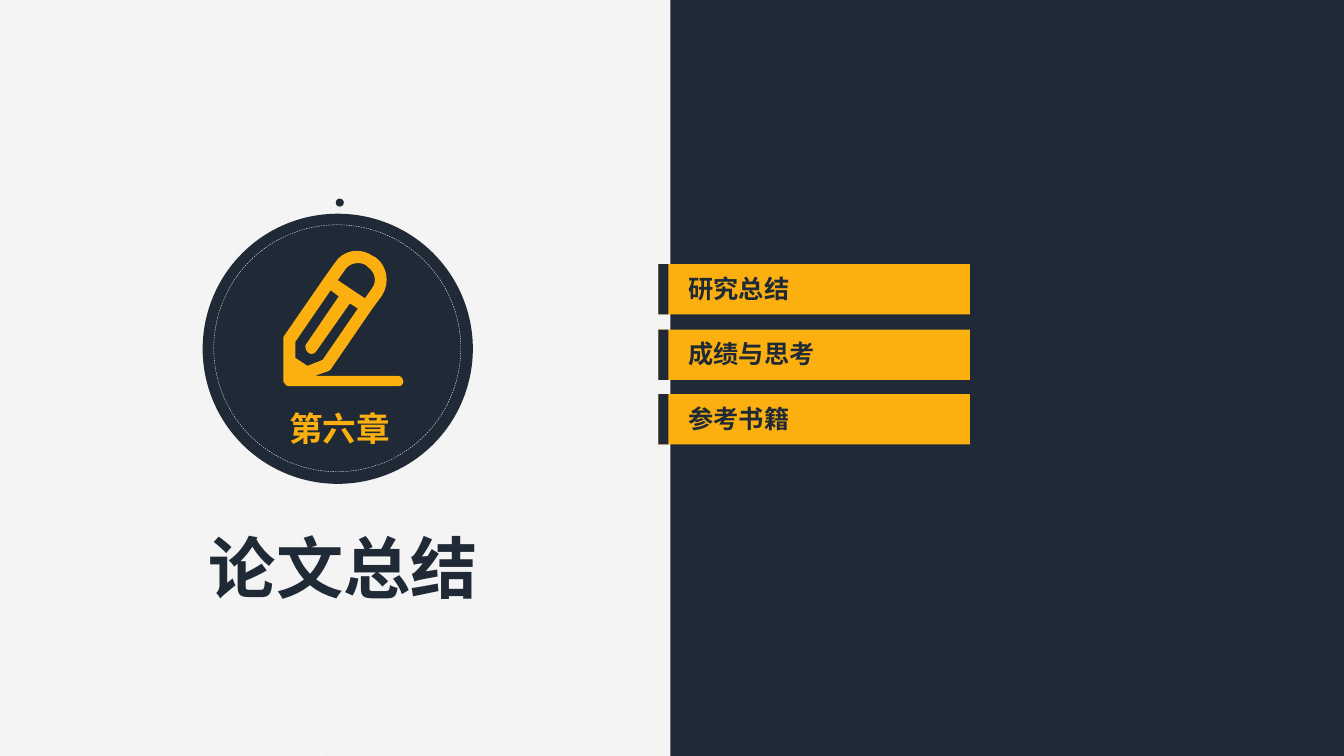
from lxml import etree
from pptx import Presentation
from pptx import util as u
from pptx.dml.color import RGBColor
from pptx.enum import dml, shapes, text
from pptx.oxml.ns import qn

PX = 9144
FINE = 10
CURVE_STEPS = 8
FONT = "Noto Sans CJK SC"
NAVY, GOLD, WHITE, PALE = "202A36", "FCB00F", "FFFFFF", "F2F2F2"
RECTANGLE, OVAL = shapes.MSO_SHAPE.RECTANGLE, shapes.MSO_SHAPE.OVAL

presentation = Presentation()
presentation.slide_width = 1333 * PX
presentation.slide_height = 750 * PX
slide = presentation.slides.add_slide(presentation.slide_layouts[6])


def paint(fill, color):
    fill.solid()
    fill.fore_color.rgb = RGBColor.from_string(color)


def add_text(words, box, size, color, align=text.PP_ALIGN.LEFT,
             anchor=text.MSO_ANCHOR.TOP, wrap=False):
    shape = slide.shapes.add_textbox(*[value * PX for value in box])
    frame = shape.text_frame
    frame.word_wrap = wrap
    frame.vertical_anchor = anchor
    if not wrap:
        frame.auto_size = text.MSO_AUTO_SIZE.SHAPE_TO_FIT_TEXT
    paragraph = frame.paragraphs[0]
    paragraph.alignment = align
    run = paragraph.add_run()
    run.text = words
    run.font.size = u.Pt(size)
    run.font.bold = True
    paint(run.font.fill, color)
    run.font.name = FONT
    etree.SubElement(run.font._element, qn("a:ea"), typeface=FONT)


background = slide.background.fill
background.patterned()
background.pattern = dml.MSO_PATTERN.LIGHT_UPWARD_DIAGONAL
background.fore_color.rgb = RGBColor.from_string(WHITE)
background.back_color.rgb = RGBColor.from_string(PALE)

topics = [("研究总结", 262), ("成绩与思考", 327), ("参考书籍", 391)]
blocks = [(RECTANGLE, (665, 0, 669, 750), NAVY)]
for topic, top in topics:
    blocks.append((RECTANGLE, (653, top, 309, 50), GOLD))
    blocks.append((RECTANGLE, (653, top, 10, 50), NAVY))
blocks += [
    (OVAL, (201, 212, 268, 268), NAVY),
    (OVAL, (333, 197, 8, 8), NAVY),
    (OVAL, (212, 223, 245, 245), None),
]
for kind, box, color in blocks:
    shape = slide.shapes.add_shape(kind, *[value * PX for value in box])
    shape.shadow.inherit = False
    if color:
        paint(shape.fill, color)
        shape.line.fill.background()
    else:
        shape.fill.background()
        paint(shape.line.fill, WHITE)
        shape.line.width = u.Pt(0.25)
        shape.line.dash_style = dml.MSO_LINE.DASH

for topic, top in topics:
    add_text(topic, (673, top + 4, len(topic) * 25 + 21, 40), 18, NAVY)
add_text("第六章", (207, 399, 260, 52), 24, GOLD, align=text.PP_ALIGN.CENTER,
         anchor=text.MSO_ANCHOR.MIDDLE, wrap=True)
add_text("论文总结", (196, 517, 289, 91), 48, NAVY, align=text.PP_ALIGN.CENTER)

pencil_outline = [
    (395, 373), (312, 373), (326, 368), (327, 367, 328, 367, 329, 365),
    (368, 308), (379, 293), (387, 280, 384, 263, 372, 255),
    (370, 254), (357, 245, 340, 248, 332, 261), (322, 275),
    (282, 333), (281, 334, 281, 336, 281, 337),
    (281, 376), (281, 378, 281, 379, 283, 381), (283, 382, 285, 383, 287, 383),
    (395, 383), (398, 383, 400, 381, 400, 379), (400, 376, 398, 373, 395, 373),
]
eraser_hole = [
    (342, 268), (346, 261, 356, 259, 363, 263), (365, 265),
    (372, 270, 374, 279, 369, 286), (362, 296), (335, 278),
]
body_hole = [
    (293, 355), (293, 339), (328, 288), (336, 294), (304, 341),
    (302, 343, 303, 348, 306, 350), (309, 352, 312, 351, 314, 348),
    (347, 301), (355, 306), (320, 357), (305, 363),
]
builder = None
for contour in (pencil_outline, eraser_hole, body_hole):
    points = [contour[0]]
    for segment in contour[1:]:
        if len(segment) == 2:
            points.append(segment)
            continue
        start, controls = points[-1], (segment[:2], segment[2:4], segment[4:])
        for step in range(1, CURVE_STEPS + 1):
            t = step / CURVE_STEPS
            weights = ((1 - t) ** 3, 3 * t * (1 - t) ** 2, 3 * t * t * (1 - t), t ** 3)
            points.append(tuple(
                sum(weight * point[axis] for weight, point in zip(weights, (start, *controls)))
                for axis in (0, 1)))
    points = [(round(x * FINE), round(y * FINE)) for x, y in points]
    if builder is None:
        builder = slide.shapes.build_freeform(*points[0], scale=PX / FINE)
    else:
        builder.move_to(*points[0])
    builder.add_line_segments(points[1:], close=True)
pencil = builder.convert_to_shape()
pencil.shadow.inherit = False
paint(pencil.fill, GOLD)
pencil.line.fill.background()

presentation.save("out.pptx")
